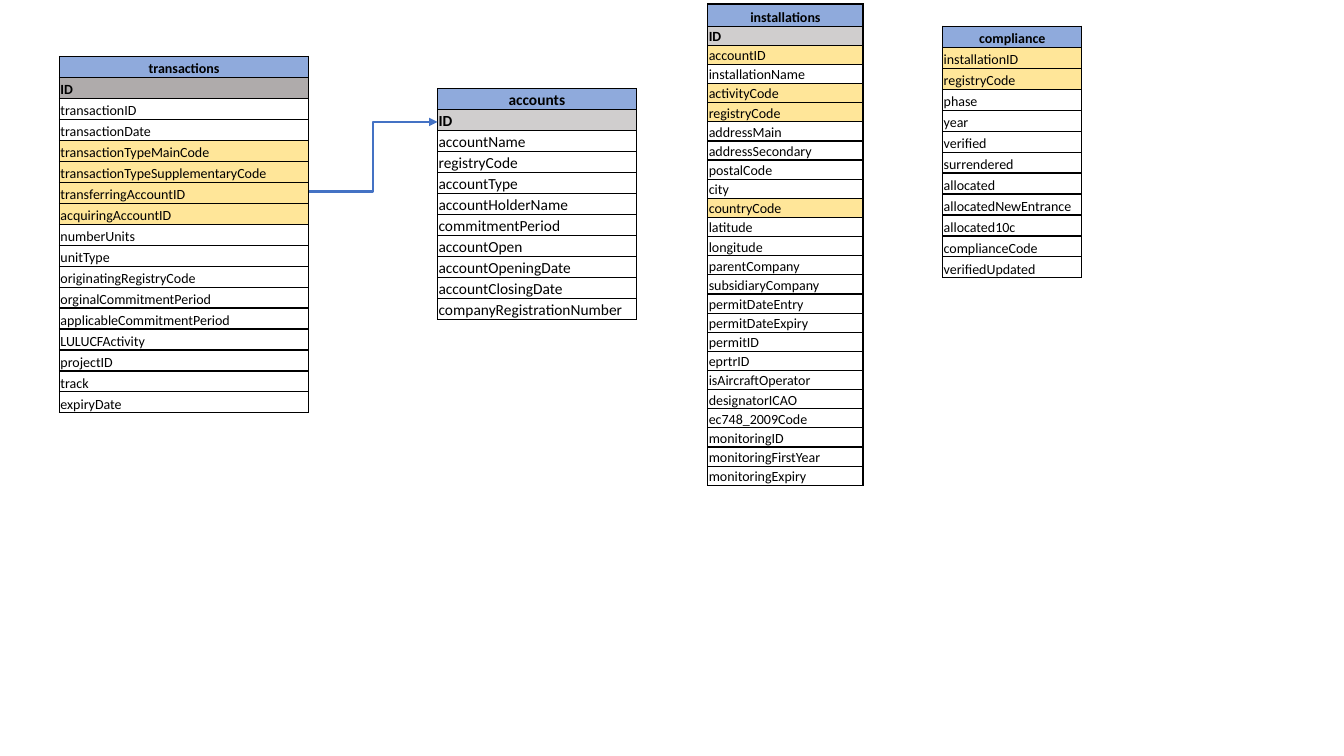
from dataclasses import dataclass

from lxml import etree
from pptx import Presentation
from pptx.dml.color import RGBColor
from pptx.enum.shapes import MSO_CONNECTOR
from pptx.enum.text import MSO_ANCHOR, PP_ALIGN
from pptx.oxml.ns import qn
from pptx.util import Inches, Pt

ELBOW = MSO_CONNECTOR.ELBOW
BOTTOM = MSO_ANCHOR.BOTTOM
CENTER = PP_ALIGN.CENTER
LEFT = PP_ALIGN.LEFT

FONT = "Calibri"
BLACK = "000000"
WHITE = "FFFFFF"
HEADER_BLUE = "8FAADC"
KEY_GRAY = "D0CECE"
DARK_KEY_GRAY = "AFABAB"
FOREIGN_KEY_YELLOW = "FFE699"
LINK_BLUE = "4472C4"


@dataclass
class Entity:
    title: str
    fields: list
    foreign_keys: set
    left: float
    top: float
    width: float
    header_height: float
    row_height: float
    font_size: int = 10
    key_fill: str = KEY_GRAY


ENTITIES = [
    Entity(
        "accounts",
        ["ID", "accountName", "registryCode", "accountType",
         "accountHolderName", "commitmentPeriod", "accountOpen",
         "accountOpeningDate", "accountClosingDate",
         "companyRegistrationNumber"],
        set(),
        4.34, 0.88, 1.97, 0.21, 0.208, font_size=11),
    Entity(
        "installations",
        ["ID", "accountID", "installationName", "activityCode",
         "registryCode", "addressMain", "addressSecondary", "postalCode",
         "city", "countryCode", "latitude", "longitude", "parentCompany",
         "subsidiaryCompany", "permitDateEntry", "permitDateExpiry",
         "permitID", "eprtrID", "isAircraftOperator", "designatorICAO",
         "ec748_2009Code", "monitoringID", "monitoringFirstYear",
         "monitoringExpiry"],
        {"accountID", "activityCode", "registryCode", "countryCode"},
        7.02, 0.04, 1.54, 0.22, 0.19),
    Entity(
        "compliance",
        ["installationID", "registryCode", "phase", "year", "verified",
         "surrendered", "allocated", "allocatedNewEntrance", "allocated10c",
         "complianceCode", "verifiedUpdated"],
        {"installationID", "registryCode"},
        9.35, 0.26, 1.38, 0.21, 0.208),
    Entity(
        "transactions",
        ["ID", "transactionID", "transactionDate", "transactionTypeMainCode",
         "transactionTypeSupplementaryCode", "transferringAccountID",
         "acquiringAccountID", "numberUnits", "unitType",
         "originatingRegistryCode", "orginalCommitmentPeriod",
         "applicableCommitmentPeriod", "LULUCFActivity", "projectID",
         "track", "expiryDate"],
        {"transactionTypeMainCode", "transactionTypeSupplementaryCode",
         "transferringAccountID", "acquiringAccountID"},
        0.59, 0.56, 2.47, 0.21, 0.208, key_fill=DARK_KEY_GRAY),
]


def rgb(hex_color):
    return RGBColor.from_string(hex_color)


def add_borders(cell):
    properties = cell._tc.get_or_add_tcPr()
    for side in ("a:lnL", "a:lnR", "a:lnT", "a:lnB"):
        border = etree.SubElement(properties, qn(side), w=str(Pt(1)))
        fill = etree.SubElement(border, qn("a:solidFill"))
        etree.SubElement(fill, qn("a:srgbClr"), val=BLACK)


def fill_cell(cell, text, fill, size, bold, alignment):
    add_borders(cell)
    cell.fill.solid()
    cell.fill.fore_color.rgb = rgb(fill)
    cell.margin_left = cell.margin_right = cell.margin_top = Inches(0.01)
    cell.margin_bottom = 0
    cell.vertical_anchor = BOTTOM
    cell.text_frame.text = text
    paragraph = cell.text_frame.paragraphs[0]
    paragraph.alignment = alignment
    font = paragraph.runs[0].font
    font.name = FONT
    font.size = Pt(size)
    font.bold = bold
    font.color.rgb = rgb(BLACK)


def field_fill(entity, field):
    if field == "ID":
        return entity.key_fill
    return FOREIGN_KEY_YELLOW if field in entity.foreign_keys else WHITE


def add_entity(slide, entity):
    height = entity.header_height + entity.row_height * len(entity.fields)
    table = slide.shapes.add_table(
        len(entity.fields) + 1, 1, Inches(entity.left), Inches(entity.top),
        Inches(entity.width), Inches(height)).table
    table.horz_banding = False
    table.rows[0].height = Inches(entity.header_height)
    fill_cell(table.cell(0, 0), entity.title, HEADER_BLUE,
              entity.font_size, True, CENTER)
    for row, field in enumerate(entity.fields, start=1):
        table.rows[row].height = Inches(entity.row_height)
        fill_cell(table.cell(row, 0), field, field_fill(entity, field),
                  entity.font_size, field == "ID", LEFT)


def add_link(slide, start_x, start_y, end_x, end_y):
    link = slide.shapes.add_connector(
        ELBOW, Inches(start_x), Inches(start_y), Inches(end_x), Inches(end_y))
    link.line.color.rgb = rgb(LINK_BLUE)
    link.line.width = Pt(2)
    etree.SubElement(link.line._get_or_add_ln(), qn("a:tailEnd"),
                     type="triangle")
    etree.SubElement(link._element.spPr, qn("a:effectLst"))


def main():
    presentation = Presentation()
    presentation.slide_width = Inches(13.33)
    presentation.slide_height = Inches(7.5)
    slide = presentation.slides.add_slide(presentation.slide_layouts[6])
    for entity in ENTITIES:
        add_entity(slide, entity)
    add_link(slide, 3.06, 1.9, 4.34, 1.21)
    presentation.save("out.pptx")


if __name__ == "__main__":
    main()
